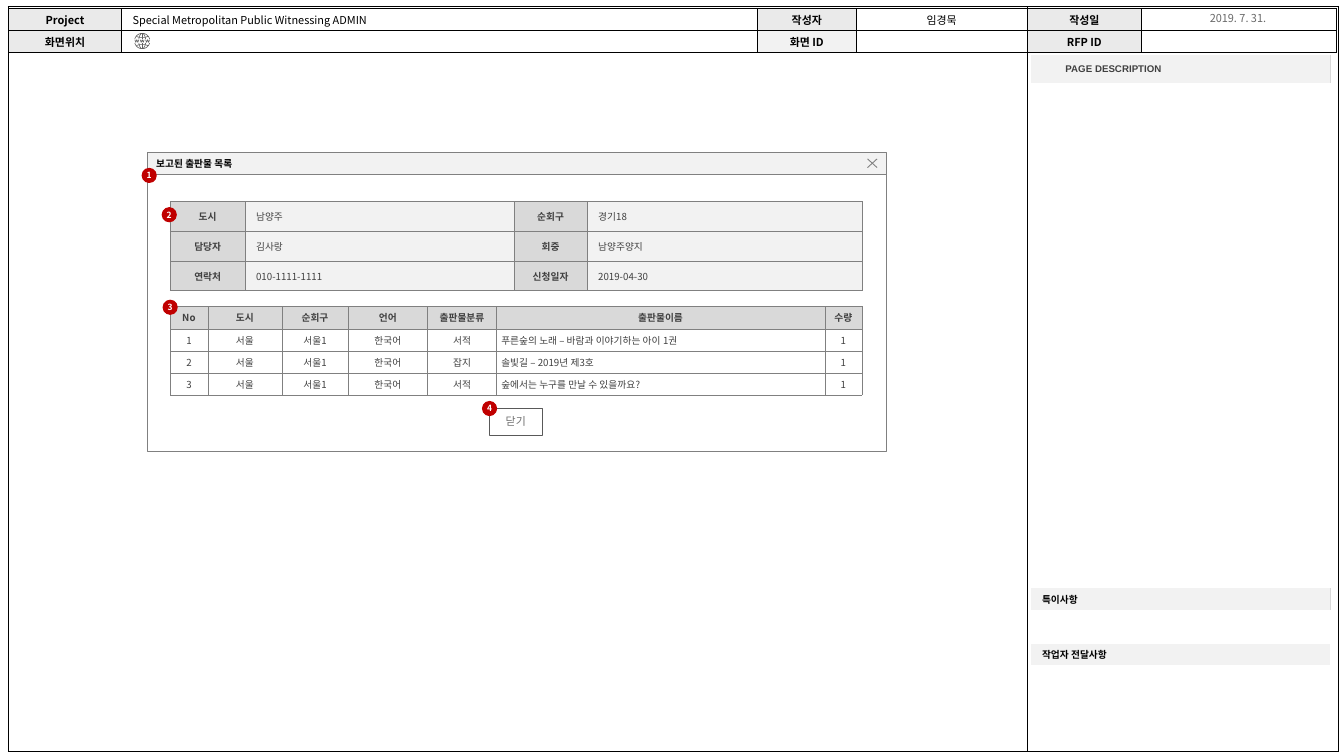
from dataclasses import dataclass
from math import cos, radians, sin

from lxml import etree
from pptx import Presentation
from pptx.dml.color import RGBColor
from pptx.enum.shapes import MSO_SHAPE
from pptx.enum.text import MSO_ANCHOR, PP_ALIGN
from pptx.oxml.ns import qn
from pptx.util import Emu, Inches, Pt

LEFT, CENTER = PP_ALIGN.LEFT, PP_ALIGN.CENTER
MIDDLE = MSO_ANCHOR.MIDDLE
RECTANGLE, OVAL = MSO_SHAPE.RECTANGLE, MSO_SHAPE.OVAL
KOREAN, LATIN = "Noto Sans CJK KR", "Arial"
COLORS = {
    "black": "000000", "white": "FFFFFF", "ink": "404040", "date": "696969",
    "button text": "6F6F6F", "button line": "595959", "globe": "5F5F5F",
    "line": "808080", "label": "D9D9D9", "panel": "F2F2F2",
    "header": "EAEAEA", "badge": "C00000",
}

# The slide is a grid of square units, 154 columns by 86.6 rows
COLUMNS, ROWS = 154, 86.6
UNIT = Inches(15.4) / COLUMNS
Point = tuple[float, float]
Box = tuple[float, float, float, float]


@dataclass(frozen=True)
class Cell:
    text: str = ""
    fill: str = ""
    align: PP_ALIGN = LEFT
    bold: bool = False
    indent: float = 0.4
    font: str = KOREAN
    color: str = ""
    edges: str = ""  # sides drawn besides the table's own border, from "LRTB"


@dataclass(frozen=True)
class Grid:
    left: float
    top: float
    columns: list[float]
    rows: list[float]
    cells: list[list[Cell]]
    size: float = 8
    color: str = "ink"
    border: str = ""
    weight: float = 0.5
    edge_color: str = "label"


@dataclass(frozen=True)
class Badge:
    number: str
    left: float
    top: float


def units(count: float) -> Emu:
    return Emu(round(count * UNIT))


def rgb(name: str) -> RGBColor:
    return RGBColor.from_string(COLORS[name])


def paint(target, fill: str) -> None:
    if fill:
        target.fill.solid()
        target.fill.fore_color.rgb = rgb(fill)
    else:
        target.fill.background()


def outline(shape, color: str, weight: float) -> None:
    shape.line.color.rgb = rgb(color)
    shape.line.width = Pt(weight)


def write(frame, text: str, size: float, color: str, bold: bool = False,
          align: PP_ALIGN = CENTER, font: str = KOREAN) -> None:
    frame.text = text
    paragraph = frame.paragraphs[0]
    paragraph.alignment = align
    paragraph.font.size = Pt(size)
    paragraph.font.bold = bold
    paragraph.font.name = font
    paragraph.font.color.rgb = rgb(color)
    east_asian = etree.SubElement(paragraph.font._element, qn("a:ea"))
    east_asian.set("typeface", font)


def set_insets(target, left: float, right: float = 0, vertical: float = 0) -> None:
    target.margin_left, target.margin_right = units(left), units(right)
    target.margin_top = target.margin_bottom = units(vertical)


def draw_edge(cell, side: str, color: str, weight: float) -> None:
    edge = etree.SubElement(cell._tc.get_or_add_tcPr(), qn(f"a:ln{side}"))
    edge.set("w", str(Pt(weight)))
    if color:
        fill = etree.SubElement(edge, qn("a:solidFill"))
        etree.SubElement(fill, qn("a:srgbClr")).set("val", COLORS[color])
    else:
        etree.SubElement(edge, qn("a:noFill"))


def add_grid(slide, grid: Grid):
    table = slide.shapes.add_table(
        len(grid.rows), len(grid.columns), units(grid.left), units(grid.top),
        units(sum(grid.columns)), units(sum(grid.rows))).table
    table.first_row = table.horz_banding = False
    for column, width in zip(table.columns, grid.columns):
        column.width = units(width)
    for row, height, contents in zip(table.rows, grid.rows, grid.cells):
        row.height = units(height)
        for cell, content in zip(row.cells, contents):
            for side in "LRTB":
                color = grid.edge_color if side in content.edges else grid.border
                draw_edge(cell, side, color, grid.weight)
            paint(cell, content.fill)
            set_insets(cell, content.indent, 0 if content.align == LEFT else content.indent)
            cell.vertical_anchor = MIDDLE
            write(cell.text_frame, content.text, grid.size, content.color or grid.color,
                  content.bold, content.align, content.font)
    return table


def add_box(slide, preset: MSO_SHAPE, box: Box, fill: str, line: str, weight: float):
    shape = slide.shapes.add_shape(preset, *map(units, box))
    shape.shadow.inherit = False
    paint(shape, fill)
    outline(shape, line, weight)
    set_insets(shape.text_frame, 0)
    shape.text_frame.vertical_anchor = MIDDLE
    return shape


def add_strokes(slide, strokes: list[list[Point]], color: str, weight: float) -> None:
    paths = [[(units(x), units(y)) for x, y in stroke] for stroke in strokes]
    builder = slide.shapes.build_freeform(*paths[0][0])
    for index, path in enumerate(paths):
        if index:
            builder.move_to(*path[0])
        builder.add_line_segments(path[1:], close=False)
    drawing = builder.convert_to_shape()
    drawing.shadow.inherit = False
    drawing.fill.background()
    outline(drawing, color, weight)


def globe_strokes(x: float, y: float, radius: float) -> list[list[Point]]:
    strokes = []
    for half in (-1, 1):
        for width in (radius, radius * 0.45):
            strokes.append([(x + width * cos(radians(a)), y + half * radius * sin(radians(a)))
                            for a in range(15, 166, 10)])
        strokes.append([(x, y + half * radius * 0.25), (x, y + half * radius)])
        strokes.append([(x + radius * dx, y + half * radius * dy)
                        for dx, dy in ((-0.75, 0.6), (-0.4, 0.48), (0.4, 0.48), (0.75, 0.6))])
    for letter in (-0.7, 0, 0.7):  # WWW across the equator
        strokes.append([(x + radius * (letter + step * 0.13), y + radius * 0.17 * (-1) ** (step + 1))
                        for step in range(-2, 3)])
    return strokes


def header(text: str, fill: str = "header") -> Cell:
    return Cell(text, fill, CENTER, True)


def label(text: str) -> Cell:
    return Cell(text, "label", CENTER, True, 0)


def value(text: str) -> Cell:
    return Cell(text, "panel", indent=1.25)


def item(text: str) -> Cell:
    return Cell(text, align=CENTER, indent=0)


def section(text: str, edges: str = "") -> list[Cell]:
    return [Cell(text, "panel", bold=True, indent=1.3, color="black", edges=edges)] * 2


PAGE_FRAME = Grid(0.95, 0.8, [116.8, 35.6], [85.3], [[Cell()] * 2],
                  border="black", weight=1)
DESCRIPTION = Grid(118.1, 6.3, [19, 15.3], [3.2, 57.9, 2.5, 3.9, 2.4, 9.3], [
    [Cell("PAGE DESCRIPTION", "panel", CENTER, True, font=LATIN),
     Cell(fill="panel", edges="R")],
    [Cell()] * 2, section("특이사항", "R"), [Cell()] * 2,
    section("작업자 전달사항"), [Cell(fill="white")] * 2])
PROJECT = Grid(1, 1, [12.9, 72.9, 11.3, 19.6, 13.1, 22.4], [2.5, 2.5], [
    [header("Project"), Cell("Special Metropolitan Public Witnessing ADMIN", indent=1.3),
     header("작성자"), Cell("임경묵", align=CENTER), header("작성일"), Cell()],
    [header("화면위치"), Cell(), header("화면 ID", "panel"), Cell(), header("RFP ID"), Cell()],
], size=9, color="black", border="black", weight=1)
REQUEST = Grid(19.5, 23.1, [8.6, 30.8, 8.4, 31.5], [3.4] * 3, [
    [label(left), value(first), label(right), value(second)]
    for left, first, right, second in (
        ("도시", "남양주", "순회구", "경기18"),
        ("담당자", "김사랑", "회중", "남양주양지"),
        ("연락처", "010-1111-1111", "신청일자", "2019-04-30"))], border="line")
PUBLICATIONS = Grid(19.5, 35.1, [4.3, 8.5, 7.6, 9.1, 7.9, 37.6, 4.3], [2.55] * 4, [
    [label(name) for name in ("No", "도시", "순회구", "언어", "출판물분류", "출판물이름", "수량")],
    *([*map(item, (str(number), "서울", "서울1", "한국어", kind)),
       Cell(name, indent=0.55), item("1")]
      for number, (kind, name) in enumerate((
          ("서적", "푸른숲의 노래 – 바람과 이야기하는 아이 1권"),
          ("잡지", "솔빛길 – 2019년 제3호"),
          ("서적", "숲에서는 누구를 만날 수 있을까요?")), 1))], border="line", weight=0.25)
BADGES = [Badge("1", 16.3, 19.3), Badge("2", 18.6, 23.8),
          Badge("3", 18.7, 34.4), Badge("4", 55.3, 46)]


def main() -> None:
    presentation = Presentation()
    presentation.slide_width, presentation.slide_height = units(COLUMNS), units(ROWS)
    slide = presentation.slides.add_slide(presentation.slide_layouts[5])

    # Page frame, description column and project header
    add_grid(slide, PAGE_FRAME)
    description = add_grid(slide, DESCRIPTION)
    for row in range(1, len(DESCRIPTION.rows)):
        description.cell(row, 1).text_frame.clear()
        description.cell(row, 0).merge(description.cell(row, 1))
    add_strokes(slide, globe_strokes(16.3, 4.7, 0.88), "globe", 0.5)
    add_grid(slide, PROJECT)
    date = slide.shapes.add_textbox(*map(units, (131.2, 1.1, 21.3, 2))).text_frame
    date.word_wrap = True
    date.vertical_anchor = MIDDLE
    set_insets(date, 0.4, 0.4)
    write(date, "2019. 7. 31.", 9, "date")

    # Dialog with its title bar and close icon
    add_box(slide, RECTANGLE, (16.9, 20, 84.7, 31.7), "white", "line", 0.5)
    title = slide.shapes.title
    title.left, title.top, title.width, title.height = map(units, (16.9, 17.5, 84.7, 2.5))
    paint(title, "panel")
    outline(title, "line", 0.5)
    title.text_frame.vertical_anchor = MIDDLE
    set_insets(title.text_frame, 1, 2.5)
    write(title.text_frame, "보고된 출판물 목록", 8, "black", True, LEFT)
    add_strokes(slide, [[(100.5, 18.2), (99.4, 19.2)], [(99.4, 18.2), (100.5, 19.2)]], "line", 0.75)

    # Dialog content
    add_grid(slide, REQUEST)
    add_grid(slide, PUBLICATIONS)
    close_button = add_box(slide, RECTANGLE, (56.1, 46.8, 6, 3), "", "button line", 0.25)
    write(close_button.text_frame, "닫기", 9, "button text")

    # Numbered badges
    for badge in BADGES:
        marker = add_box(slide, OVAL, (badge.left, badge.top, 1.6, 1.6), "badge", "badge", 1)
        marker.text_frame.word_wrap = False
        write(marker.text_frame, badge.number, 7, "white", True)

    presentation.save("out.pptx")


if __name__ == "__main__":
    main()
